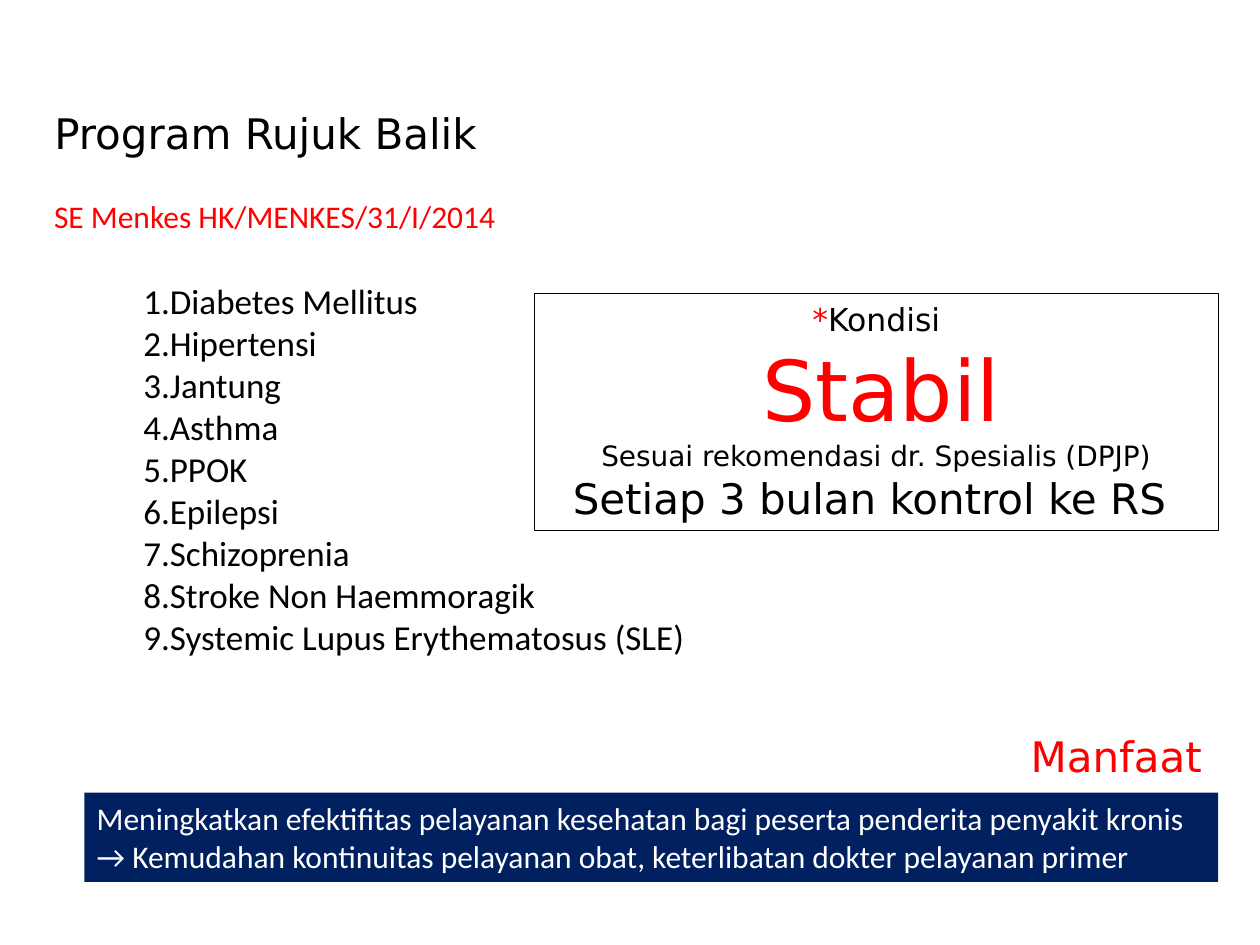
from dataclasses import dataclass

from lxml import etree
from pptx import Presentation
from pptx import util as u
from pptx.dml.color import RGBColor
from pptx.enum import shapes, text
from pptx.oxml import ns


@dataclass(frozen=True)
class Theme:
    """Colours, fonts and type sizes of the slide."""

    black: str = "000000"
    red: str = "FF0000"
    navy: str = "002060"
    white: str = "FFFFFF"
    display: str = "DejaVu Sans"
    body: str = "Calibri"
    hero: int = 48
    heading: int = 24
    item: int = 20
    normal: int = 18
    small: int = 16


THEME = Theme()


def add_run(paragraph, content, *, size=THEME.normal, font=THEME.body, color=THEME.black):
    """Append formatted text to a paragraph."""
    run = paragraph.add_run()
    run.text = content
    run.font.size = u.Pt(size)
    run.font.name = font
    run.font.color.rgb = RGBColor.from_string(color)


class SlideBuilder:
    """Hold the theme and the current slide, and draw each kind of element."""

    def __init__(self, presentation, theme):
        """Start a title-only slide."""
        self.theme = theme
        self.slide = presentation.slides.add_slide(presentation.slide_layouts[5])

    def fill_text(self, shape, lines, align=text.PP_ALIGN.LEFT, wrap=True):
        """Write lines, each a list of (text, format) pairs, into a shape."""
        frame = shape.text_frame
        frame.word_wrap = wrap
        frame.auto_size = text.MSO_AUTO_SIZE.NONE
        for index, runs in enumerate(lines):
            paragraph = frame.add_paragraph() if index else frame.paragraphs[0]
            paragraph.alignment = align
            for content, style in runs:
                add_run(paragraph, content, **style)

    def title(self, box, content):
        """Place and format the title placeholder."""
        shape = self.slide.shapes.title
        shape.left, shape.top, shape.width, shape.height = map(u.Cm, box)
        style = dict(size=self.theme.heading, font=self.theme.display)
        self.fill_text(shape, [[(content, style)]])
        shape.text_frame.vertical_anchor = text.MSO_ANCHOR.MIDDLE

    def text_box(self, box, lines, **layout):
        """Add a text box."""
        shape = self.slide.shapes.add_textbox(*map(u.Cm, box))
        self.fill_text(shape, lines, **layout)
        return shape

    def numbered_list(self, box, items, indent):
        """Add an automatically numbered list."""
        style = dict(size=self.theme.item)
        shape = self.text_box(box, [[(item, style)] for item in items])
        for paragraph in shape.text_frame.paragraphs:
            properties = paragraph._p.get_or_add_pPr()
            for name in ("marL", "indent"):
                properties.set(name, str(u.Cm(indent)))
            number = etree.SubElement(properties, ns.qn("a:buAutoNum"))
            number.set("type", "arabicPeriod")

    def panel(self, box, lines, *, fill=None, line=None, align=text.PP_ALIGN.LEFT):
        """Add a rectangle with text and an optional fill and outline."""
        shape = self.slide.shapes.add_shape(shapes.MSO_SHAPE.RECTANGLE, *map(u.Cm, box))
        shape.shadow.inherit = False
        if fill:
            shape.fill.solid()
            shape.fill.fore_color.rgb = RGBColor.from_string(fill)
        else:
            shape.fill.background()
        if line:
            shape.line.color.rgb = RGBColor.from_string(line)
            shape.line.width = u.Pt(0.75)
        else:
            shape.line.fill.background()
        self.fill_text(shape, lines, align)
        shape.text_frame.vertical_anchor = text.MSO_ANCHOR.TOP


def main():
    """Build and save the slide."""
    presentation = Presentation()
    presentation.slide_width, presentation.slide_height = u.Cm(25.4), u.Cm(19.05)
    builder = SlideBuilder(presentation, THEME)

    builder.title((0.84, 1.98, 20.32, 1.4), "Program Rujuk Balik")
    diseases = [
        "Diabetes Mellitus",
        "Hipertensi",
        "Jantung",
        "Asthma",
        "PPOK",
        "Epilepsi",
        "Schizoprenia",
        "Stroke Non Haemmoragik",
        "Systemic Lupus Erythematosus (SLE)",
    ]
    builder.numbered_list((0.76, 5.51, 16.26, 8.81), diseases, indent=0.94)
    builder.text_box(
        (0.84, 3.84, 9.8, 1.02),
        [[("SE Menkes HK/MENKES/31/I/2014", dict(color=THEME.red))]],
        wrap=False,
    )

    display = dict(font=THEME.display)
    red = dict(display, color=THEME.red)
    condition = [
        [("*", red), ("Kondisi", display)],
        [(" ", display), ("Stabil", dict(red, size=THEME.hero))],
        [("Sesuai rekomendasi dr. Spesialis (DPJP)", dict(display, size=THEME.small))],
        [("Setiap 3 bulan kontrol ke RS ", dict(display, size=THEME.heading))],
    ]
    builder.panel(
        (10.77, 5.92, 13.79, 4.78), condition, line=THEME.black, align=text.PP_ALIGN.CENTER
    )

    benefit = (
        "Meningkatkan efektifitas pelayanan kesehatan bagi peserta penderita penyakit kronis "
        "→ Kemudahan kontinuitas pelayanan obat, keterlibatan dokter pelayanan primer"
    )
    builder.panel(
        (1.7, 15.98, 22.86, 1.8), [[(benefit, dict(color=THEME.white))]], fill=THEME.navy
    )
    builder.text_box(
        (16.43, 14.6, 8.05, 1.27),
        [[("Manfaat", dict(red, size=THEME.heading))]],
        align=text.PP_ALIGN.RIGHT,
    )
    presentation.save("out.pptx")


if __name__ == "__main__":
    main()
